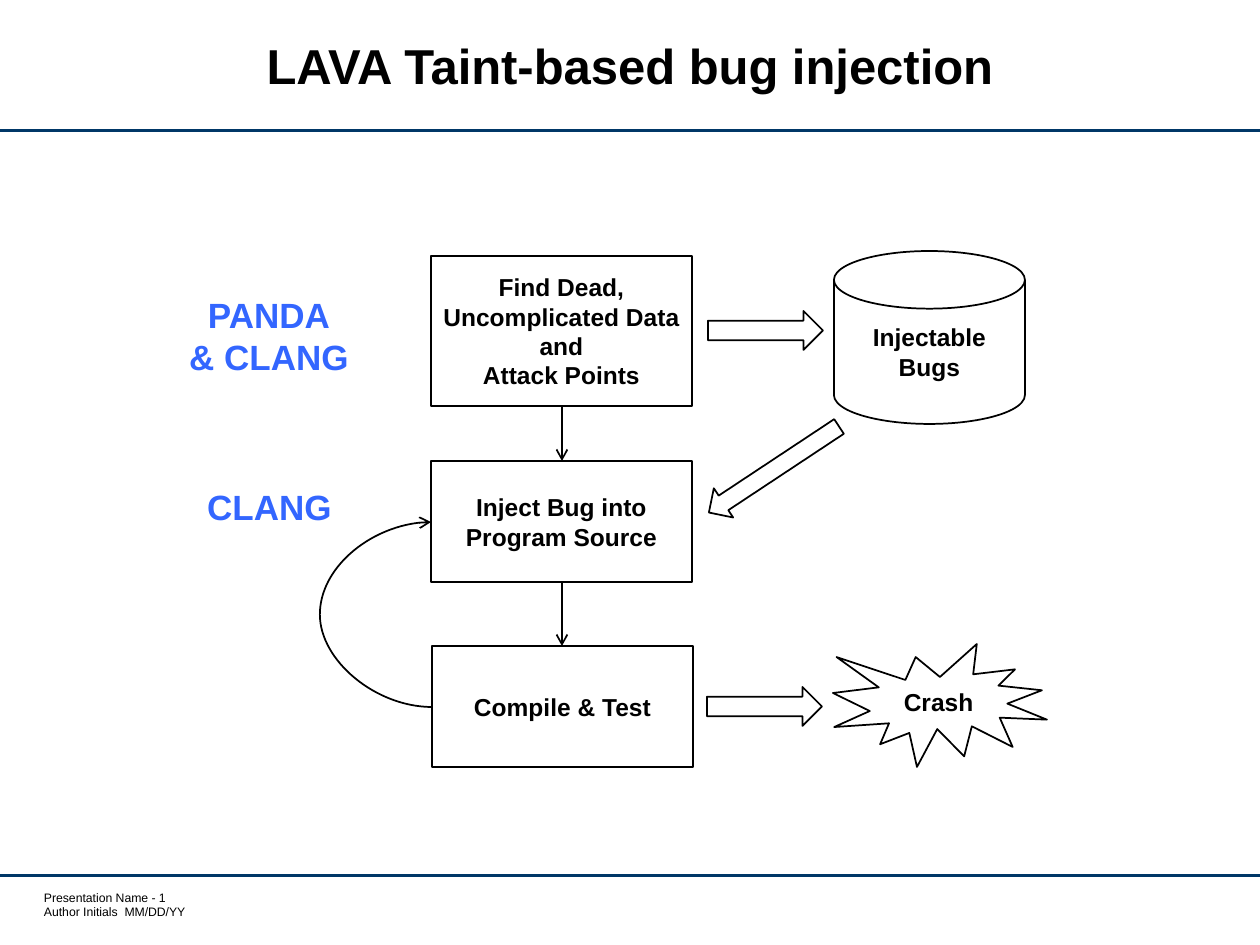
import pptx
import pptx.util
import pptx.dml.color
import pptx.enum.shapes
import pptx.enum.text
import pptx.oxml
import pptx.oxml.ns

SCALE = 914400 // 126
BLACK = pptx.dml.color.RGBColor(0, 0, 0)
NAVY = pptx.dml.color.RGBColor(0x00, 0x37, 0x67)
BLUE = pptx.dml.color.RGBColor(0x33, 0x66, 0xFF)
SHAPE = pptx.enum.shapes.MSO_SHAPE
CONNECTOR = pptx.enum.shapes.MSO_CONNECTOR
ALIGN = pptx.enum.text.PP_ALIGN
ANCHOR = pptx.enum.text.MSO_ANCHOR


def px(*lengths):
    return [pptx.util.Emu(round(length * SCALE)) for length in lengths]


def write(box, text, size=14, color=BLACK, bold=True, align=ALIGN.CENTER,
          anchor=ANCHOR.MIDDLE, wrap=True, inset=None, spacing=None):
    frame = box.text_frame
    frame.word_wrap = wrap
    frame.vertical_anchor = anchor
    if inset is not None:
        frame.margin_left = frame.margin_right = inset
        frame.margin_top = frame.margin_bottom = inset
    for index, line in enumerate(text.split("\n")):
        para = frame.add_paragraph() if index else frame.paragraphs[0]
        para.alignment = align
        if spacing:
            para.line_spacing = pptx.util.Pt(spacing)
        span = para.add_run()
        span.text = line
        span.font.name = "Arial"
        span.font.size = pptx.util.Pt(size)
        span.font.bold = bold
        span.font.color.rgb = color


def add_label(page, area, text, **style):
    write(page.shapes.add_textbox(*px(*area)), text, **style)


def add_outline(page, kind, area, text="", rotation=0):
    box = page.shapes.add_shape(kind, *px(*area))
    box.shadow.inherit = False
    box.fill.background()
    box.line.color.rgb = BLACK
    box.line.width = pptx.util.Pt(1)
    box.rotation = rotation
    if text:
        write(box, text)


def add_line(page, start, end, color=BLACK, width=1, kind=CONNECTOR.STRAIGHT, arrow=False):
    line = page.shapes.add_connector(kind, *px(*start, *end))
    line.line.color.rgb = color
    line.line.width = pptx.util.Pt(width)
    properties = line._element.spPr
    if arrow:
        tail = pptx.oxml.parse_xml(
            '<a:tailEnd %s type="arrow"/>' % pptx.oxml.ns.nsdecls("a"))
        line.line._get_or_add_ln().append(tail)
    properties.append(pptx.oxml.parse_xml(
        "<a:effectLst %s/>" % pptx.oxml.ns.nsdecls("a")))
    return line


def add_loop(page, top, bottom, reach):
    loop = add_line(page, top, bottom, kind=CONNECTOR.CURVE, arrow=True)
    properties = loop._element.spPr
    properties.find(pptx.oxml.ns.qn("a:xfrm")).set("rot", "10800000")
    geometry = properties.find(pptx.oxml.ns.qn("a:prstGeom"))
    for child in list(geometry):
        geometry.remove(child)
    ratio = round(100000 * reach / (bottom[0] - top[0]))
    geometry.append(pptx.oxml.parse_xml(
        '<a:avLst %s><a:gd name="adj1" fmla="val %d"/></a:avLst>'
        % (pptx.oxml.ns.nsdecls("a"), ratio)))


def add_frame(page, left, top, width, height):
    for offset in (131, 876):
        add_line(page, (left, top + offset), (left + width, top + offset), NAVY, 1.75)
    add_label(page, (left + 44, top + height - 55, 150, 30),
              "Presentation Name - 1\nAuthor Initials  MM/DD/YY", size=7, bold=False,
              align=ALIGN.LEFT, anchor=ANCHOR.TOP, wrap=False, inset=0)
    add_label(page, (left + 130, top + 14, width - 260, 112),
              "LAVA Taint-based bug injection", size=28, spacing=28)


def add_steps(page, left, top):
    steps = [
        (0, 0, 150, "Find Dead, Uncomplicated Data\nand\nAttack Points"),
        (0, 205, 121, "Inject Bug into Program Source"),
        (1, 390, 121, "Compile & Test"),
    ]
    for shift, offset, height, text in steps:
        add_outline(page, SHAPE.FLOWCHART_PROCESS,
                    (left + shift, top + offset, 261, height), text)
    for above, below in zip(steps, steps[1:]):
        add_line(page, (left + 131, top + above[1] + above[2]),
                 (left + 131, top + below[1]), arrow=True)
    add_loop(page, (left, top + 266), (left + 1, top + 451), 113)


def add_results(page, left, top):
    add_outline(page, SHAPE.FLOWCHART_MAGNETIC_DISK,
                (left + 127, top, 191, 173), "Injectable Bugs")
    add_outline(page, SHAPE.EXPLOSION1, (left + 126, top + 393, 214, 123), "Crash")
    for area, rotation in (((1, 60, 115, 39), 0), ((-11, 201, 156, 35), 146.5),
                           ((0, 436, 115, 39), 0)):
        add_outline(page, SHAPE.RIGHT_ARROW,
                    (left + area[0], top + area[1], *area[2:]), rotation=rotation)


def add_tools(page, left, top):
    for area, text in (((0, 0, 186, 97), "PANDA\n& CLANG"), ((18, 192, 151, 55), "CLANG")):
        add_label(page, (left + area[0], top + area[1], *area[2:]), text, size=20,
                  color=BLUE, anchor=ANCHOR.TOP, wrap=False)


deck = pptx.Presentation()
deck.slide_width, deck.slide_height = px(1260, 945)
page = deck.slides.add_slide(deck.slide_layouts[6])
add_frame(page, 0, 0, 1260, 945)
add_steps(page, 431, 256)
add_results(page, 707, 251)
add_tools(page, 176, 287)
deck.save("out.pptx")
